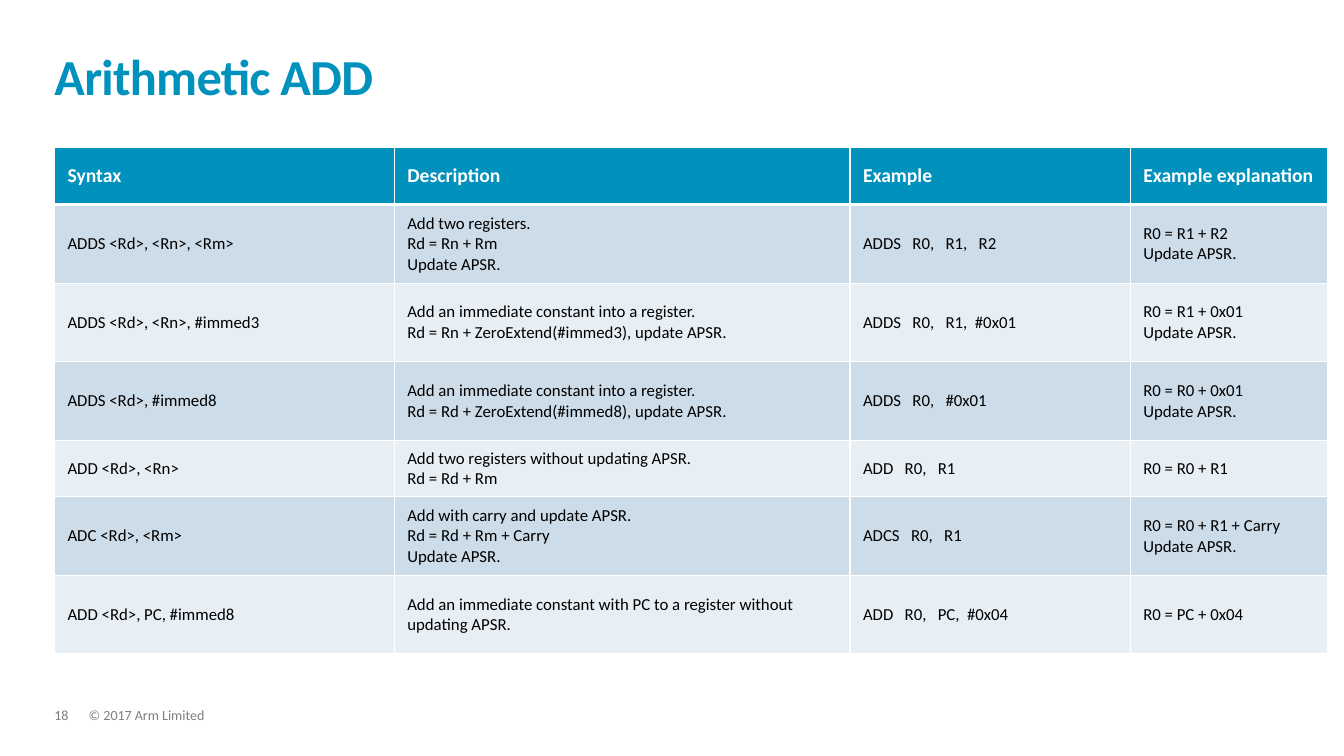
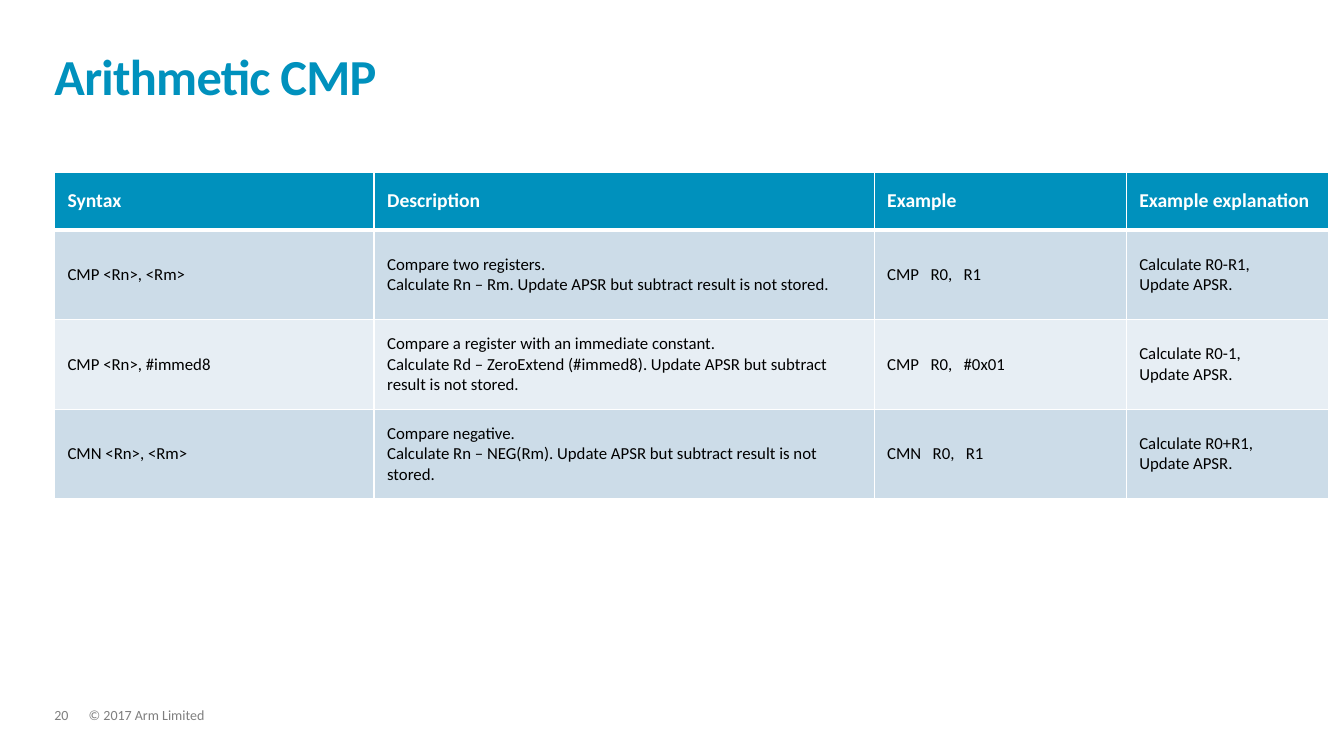
from dataclasses import dataclass

from lxml.etree import SubElement
from pptx import Presentation
from pptx.dml.color import RGBColor
from pptx.enum.text import MSO_ANCHOR, MSO_AUTO_SIZE, PP_ALIGN
from pptx.oxml.ns import qn
from pptx.util import Inches, Pt

# Shared look
BLUE = RGBColor(0x00, 0x91, 0xBD)
BAND_DARK = RGBColor(0xCC, 0xDC, 0xE8)
BAND_LIGHT = RGBColor(0xE7, 0xEE, 0xF4)
GREY = RGBColor(0x7F, 0x7F, 0x7F)
WHITE = RGBColor(0xFF, 0xFF, 0xFF)
BLACK = RGBColor(0x00, 0x00, 0x00)
FONT = "Calibri"
LEFT = 0.54
HEADERS = ("Syntax", "Description", "Example", "Example explanation")
HEADER_HEIGHT = 0.57
COPYRIGHT = "© 2017 Arm Limited"


@dataclass(frozen=True)
class Instruction:
    height: float
    syntax: str
    description: str
    example: str
    explanation: str

    def texts(self) -> tuple[str, ...]:
        return self.syntax, self.description, self.example, self.explanation


@dataclass(frozen=True)
class InstructionSlide:
    number: int
    title: str
    top: float
    widths: tuple[float, ...]
    rows: tuple[Instruction, ...]


# Content
SLIDES = (
    InstructionSlide(18, "Arithmetic ADD", 1.46, (3.37, 4.52, 2.78, 1.96), (
        Instruction(0.78, "ADDS <Rd>, <Rn>, <Rm>",
                    "Add two registers.\nRd = Rn + Rm\nUpdate APSR.",
                    "ADDS   R0,   R1,   R2", "R0 = R1 + R2\nUpdate APSR."),
        Instruction(0.78, "ADDS <Rd>, <Rn>, #immed3",
                    "Add an immediate constant into a register.\n"
                    "Rd = Rn + ZeroExtend(#immed3), update APSR.",
                    "ADDS   R0,   R1,  #0x01", "R0 = R1 + 0x01\nUpdate APSR."),
        Instruction(0.78, "ADDS <Rd>, #immed8",
                    "Add an immediate constant into a register.\n"
                    "Rd = Rd + ZeroExtend(#immed8), update APSR.",
                    "ADDS   R0,   #0x01", "R0 = R0 + 0x01\nUpdate APSR."),
        Instruction(0.56, "ADD <Rd>, <Rn>",
                    "Add two registers without updating APSR.\nRd = Rd + Rm",
                    "ADD   R0,   R1", "R0 = R0 + R1"),
        Instruction(0.78, "ADC <Rd>, <Rm>",
                    "Add with carry and update APSR.\nRd = Rd + Rm + Carry\nUpdate APSR.",
                    "ADCS   R0,   R1", "R0 = R0 + R1 + Carry\nUpdate APSR."),
        Instruction(0.78, "ADD <Rd>, PC, #immed8",
                    "Add an immediate constant with PC to a register without updating APSR.",
                    "ADD   R0,   PC,  #0x04", "R0 = PC + 0x04"),
    )),
    InstructionSlide(20, "Arithmetic CMP", 1.71, (3.17, 4.96, 2.5, 2.01), (
        Instruction(0.89, "CMP <Rn>, <Rm>",
                    "Compare two registers.\n"
                    "Calculate Rn – Rm. Update APSR but subtract result is not stored.",
                    "CMP   R0,   R1", "Calculate R0-R1,\nUpdate APSR."),
        Instruction(0.89, "CMP <Rn>, #immed8",
                    "Compare a register with an immediate constant.\n"
                    "Calculate Rd – ZeroExtend (#immed8). "
                    "Update APSR but subtract result is not stored.",
                    "CMP   R0,   #0x01", "Calculate R0-1,\nUpdate APSR."),
        Instruction(0.89, "CMN <Rn>, <Rm>",
                    "Compare negative.\n"
                    "Calculate Rn – NEG(Rm). Update APSR but subtract result is not stored.",
                    "CMN   R0,   R1", "Calculate R0+R1,\nUpdate APSR."),
    )),
)


def add_run(p, text: str, size: float, color: RGBColor, bold: bool = False):
    r = p.add_run()
    r.text = text
    r.font.name, r.font.size, r.font.bold = FONT, Pt(size), bold
    r.font.color.rgb = color
    return r


def clear_margins(tf) -> None:
    tf.margin_left = tf.margin_top = tf.margin_right = tf.margin_bottom = 0


def add_title(slide, text: str) -> None:
    sp = slide.shapes.title
    sp.left, sp.top = Inches(LEFT), Inches(0.32)
    sp.width, sp.height = Inches(12.23), Inches(0.73)
    tf = sp.text_frame
    clear_margins(tf)
    tf.word_wrap, tf.auto_size = True, MSO_AUTO_SIZE.NONE
    tf.vertical_anchor = MSO_ANCHOR.BOTTOM
    p = tf.paragraphs[0]
    p.alignment, p.line_spacing = PP_ALIGN.LEFT, 0.85
    r = add_run(p, text, 36, BLUE, bold=True)
    r.font._element.set("spc", "-50")


def add_footer(slide, number: int) -> None:
    for left, width, text in ((LEFT, 0.34, str(number)), (0.88, 9.13, COPYRIGHT)):
        sp = slide.shapes.add_textbox(Inches(left), Inches(7.03), Inches(width), Inches(0.15))
        tf = sp.text_frame
        clear_margins(tf)
        tf.word_wrap = True
        p = tf.paragraphs[0]
        p.line_spacing = 0.9
        add_run(p, text, 10, GREY)


def set_borders(cell, top: float, bottom: float) -> None:
    tcPr = cell._tc.get_or_add_tcPr()
    for side, width in (("L", 1), ("R", 1), ("T", top), ("B", bottom)):
        ln = SubElement(tcPr, qn(f"a:ln{side}"), w=str(Pt(width)))
        SubElement(SubElement(ln, qn("a:solidFill")), qn("a:srgbClr"), val=str(WHITE))


def fill_cell(cell, text: str, row: int) -> None:
    header = row == 0
    # The heavy rule lies between the header and the first row
    set_borders(cell, top=3 if row == 1 else 1, bottom=3 if header else 1)
    cell.fill.solid()
    cell.fill.fore_color.rgb = BLUE if header else BAND_DARK if row % 2 else BAND_LIGHT
    cell.vertical_anchor = MSO_ANCHOR.MIDDLE
    cell.margin_left = cell.margin_right = Inches(0.13)
    cell.margin_top = cell.margin_bottom = Inches(0.05)
    tf = cell.text_frame
    for i, line in enumerate(text.split("\n")):
        p = tf.add_paragraph() if i else tf.paragraphs[0]
        add_run(p, line, 14 if header else 12, WHITE if header else BLACK, bold=header)


def add_instruction_table(slide, content: InstructionSlide) -> None:
    heights = [HEADER_HEIGHT, *(row.height for row in content.rows)]
    texts = [HEADERS, *(row.texts() for row in content.rows)]
    table = slide.shapes.add_table(
        len(heights), len(HEADERS), Inches(LEFT), Inches(content.top),
        Inches(sum(content.widths)), Inches(sum(heights))).table
    table.horz_banding = False
    for column, width in zip(table.columns, content.widths):
        column.width = Inches(width)
    for i, (height, row_texts) in enumerate(zip(heights, texts)):
        table.rows[i].height = Inches(height)
        for j, text in enumerate(row_texts):
            fill_cell(table.cell(i, j), text, i)


def main() -> None:
    prs = Presentation()
    prs.slide_width, prs.slide_height = Inches(13.33), Inches(7.5)
    for content in SLIDES:
        s = prs.slides.add_slide(prs.slide_layouts[5])
        add_footer(s, content.number)
        add_title(s, content.title)
        add_instruction_table(s, content)
    prs.save("out.pptx")


if __name__ == "__main__":
    main()
